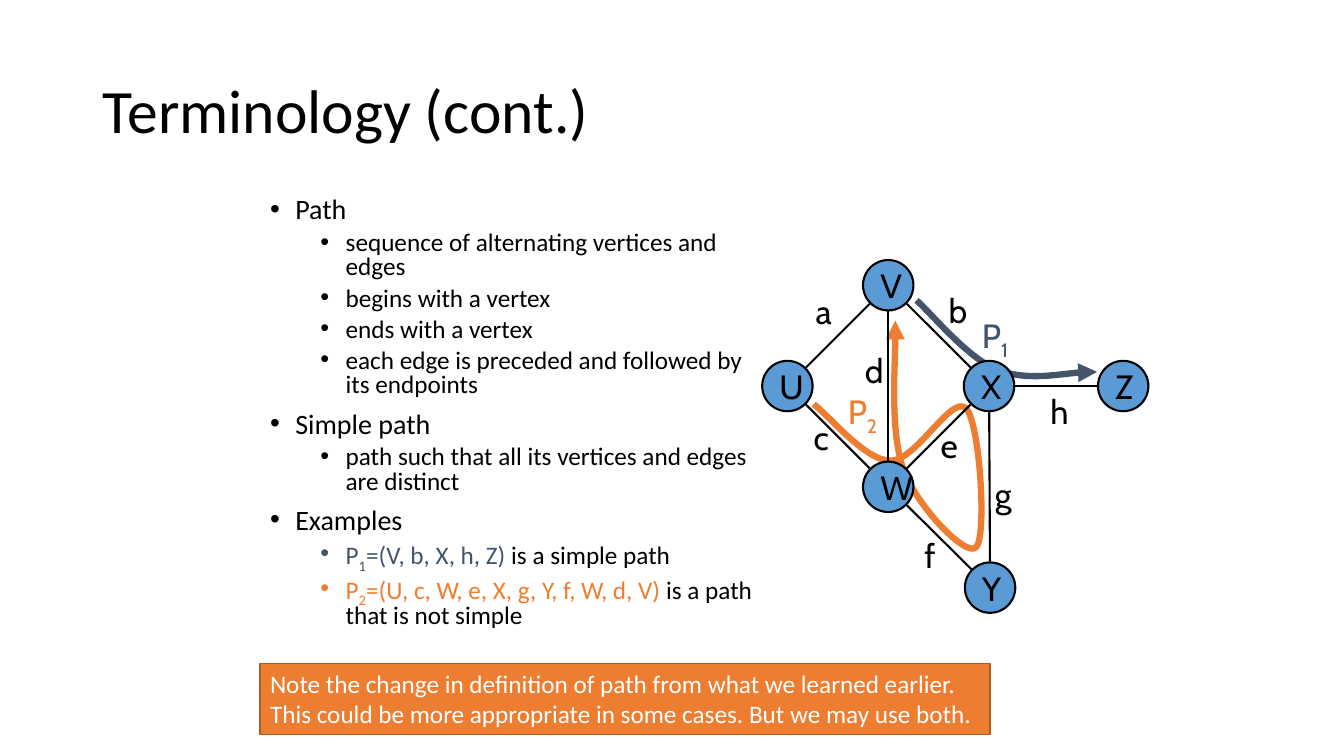
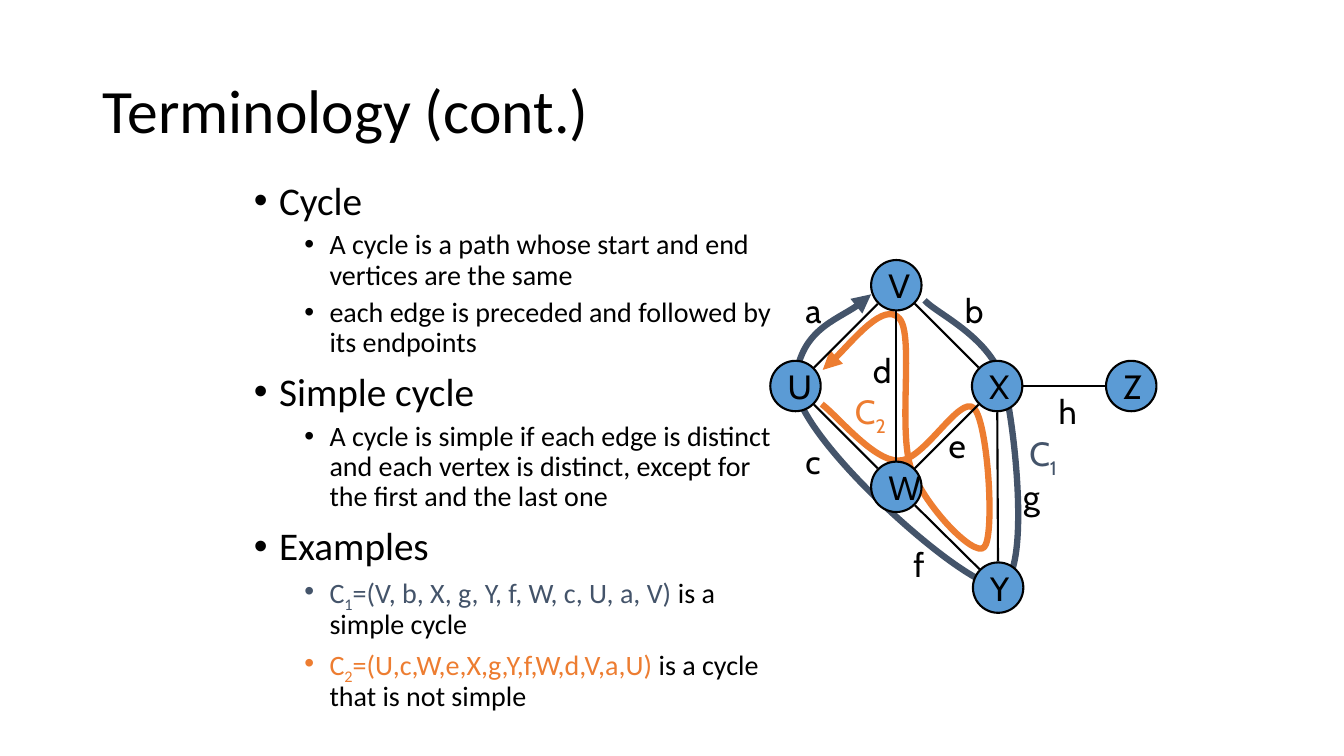
from dataclasses import dataclass
from math import dist

from lxml import etree
from pptx import Presentation
from pptx.dml.color import RGBColor
from pptx.enum.shapes import MSO_CONNECTOR, MSO_SHAPE
from pptx.enum.text import MSO_ANCHOR, MSO_AUTO_SIZE, PP_ALIGN
from pptx.oxml.ns import qn
from pptx.util import Pt

PX = 9144  # 100 px to the inch
STRAIGHT = MSO_CONNECTOR.STRAIGHT
OVAL, RECTANGLE = MSO_SHAPE.OVAL, MSO_SHAPE.RECTANGLE
MIDDLE, LEFT = MSO_ANCHOR.MIDDLE, PP_ALIGN.LEFT
FIT_SHAPE, NO_FIT = MSO_AUTO_SIZE.SHAPE_TO_FIT_TEXT, MSO_AUTO_SIZE.NONE


@dataclass(frozen=True)
class Theme:
    black: RGBColor = RGBColor(0, 0, 0)
    white: RGBColor = RGBColor(255, 255, 255)
    slate: RGBColor = RGBColor(0x44, 0x54, 0x6A)
    orange: RGBColor = RGBColor(0xED, 0x7D, 0x31)
    rust: RGBColor = RGBColor(0xAF, 0x5C, 0x24)
    blue: RGBColor = RGBColor(0x5B, 0x9B, 0xD5)
    text_font: str = "Calibri"
    graph_font: str = "Cabin"
    title_size: int = 44
    graph_size: int = 24
    note_size: int = 18
    edge_width: float = 1.5
    trail_width: float = 4.5


THEME = Theme()

# The graph of the first slide; the second slide shifts all of it to the right.
NODE_SIZE = 50
EDGE_GAP = 26
NODES = {"X": (956, 358), "U": (756, 358), "V": (856, 258),
         "W": (856, 458), "Z": (1089, 358), "Y": (957, 558)}
EDGES = ["VU", "WU", "WX", "XZ", "VX", "VW", "WY", "XY"]
LABEL_WIDTHS = {"f": 31, "P_1": 51, "P_2": 51, "C_1": 52, "C_2": 52}
FIXED_LABELS = {"d": (848, 342), "e": (923, 417), "h": (1032, 383)}

# Trails are Bezier points: a start, then three points for each curve.
LOOP = [(807, 401), (823, 413), (858, 457), (883, 457), (908, 458), (944, 391),
        (958, 405), (972, 419), (979, 533), (968, 543), (958, 553), (910, 503),
        (896, 466)]

LESSONS = [
    {
        "body": (258, 192, 498, 467),
        "sizes": (20, 18),
        "line_spacing": 0.8,
        "bullets": [
            (0, "Path"),
            (1, "sequence of alternating vertices and edges"),
            (1, "begins with a vertex"),
            (1, "ends with a vertex"),
            (1, "each edge is preceded and followed by its endpoints"),
            (0, "Simple path"),
            (1, "path such that all its vertices and edges are distinct"),
            (0, "Examples"),
            (1, " is a simple path", "P_1=(V, b, X, h, Z)", THEME.slate),
            (1, " is a path that is not simple",
             "P_2=(U, c, W, e, X, g, Y, f, W, d, V)", THEME.orange),
        ],
        "shift": 0,
        "trails": [
            (THEME.orange, LOOP + [(883, 428), (889, 342), (888, 318)]),
            (THEME.slate, [(909, 298), (922, 309), (959, 355), (989, 367),
                           (1019, 378), (1068, 368), (1088, 369)]),
        ],
        "labels": {"a": (799, 284), "b": (931, 283), "c": (797, 409),
                   "f": (907, 526), "g": (977, 465)},
        "trail_labels": [("P_1", (964, 308), THEME.slate),
                         ("P_2", (831, 383), THEME.orange)],
    },
    {
        "body": (242, 175, 543, 531),
        "sizes": (28, 20),
        "line_spacing": 0.9,
        "bullets": [
            (0, "Cycle"),
            (1, "A cycle is a path whose start and end vertices are the same"),
            (1, "each edge is preceded and followed by its endpoints"),
            (0, "Simple cycle"),
            (1, "A cycle is simple if each edge is distinct and each vertex is "
                "distinct, except for the first and the last one"),
            (0, "Examples"),
            (1, " is a simple cycle",
             "C_1=(V, b, X, g, Y, f, W, c, U, a, V)", THEME.slate),
            (1, " is a cycle that is not simple",
             "C_2=(U,c,W,e,X,g,Y,f,W,d,V,a,U)", THEME.orange),
        ],
        "shift": 8,
        "trails": [
            (THEME.slate, [(909, 298), (922, 312), (976, 335), (988, 382),
                           (1000, 430), (1015, 582), (981, 581), (946, 581),
                           (777, 430), (781, 379), (785, 328), (840, 310),
                           (856, 292)]),
            (THEME.orange, LOOP + [(882, 428), (899, 332), (884, 316),
                                   (869, 299), (820, 358), (808, 367)]),
        ],
        "labels": {"a": (781, 283), "b": (939, 283), "c": (781, 433),
                   "f": (888, 535), "g": (997, 467)},
        "trail_labels": [("C_1", (1003, 425), THEME.slate),
                         ("C_2", (830, 383), THEME.orange)],
    },
]
NOTE = ["Note the change in definition of path from what we learned earlier.",
        "This could be more appropriate in some cases. But we may use both."]


def px(*lengths):
    return [round(length * PX) for length in lengths]


def write(para, text, *, size, font=THEME.text_font, color=THEME.black):
    """Append text to a paragraph; the character after each "_" is a subscript."""
    plain, *marked = text.split("_")
    parts = [(plain, False)]
    for part in marked:
        parts += [(part[0], True), (part[1:], False)]
    for words, is_subscript in parts:
        if words:
            span = para.add_run()
            span.text = words
            span.font.name = font
            span.font.size = Pt(size)
            span.font.color.rgb = color
            if is_subscript:
                span.font._element.set("baseline", "-25000")


deck = Presentation()
deck.slide_width, deck.slide_height = px(1333, 750)
title_only = deck.slide_layouts[5]

for lesson in LESSONS:
    page = deck.slides.add_slide(title_only)
    shapes = page.shapes
    shift = lesson["shift"]

    title = shapes.title
    title.left, title.top, title.width, title.height = px(92, 40, 1150, 145)
    title.text_frame.vertical_anchor = MIDDLE
    title.text_frame.auto_size = NO_FIT
    para = title.text_frame.paragraphs[0]
    para.alignment = LEFT
    para.line_spacing = 0.9
    write(para, "Terminology (cont.)", size=THEME.title_size)

    frame = shapes.add_textbox(*px(*lesson["body"])).text_frame
    frame.word_wrap = True
    for index, (level, text, *example) in enumerate(lesson["bullets"]):
        para = frame.add_paragraph() if index else frame.paragraphs[0]
        properties = para._p.get_or_add_pPr()
        margin, hanging = px(25 + 50 * level, -25)
        properties.set("marL", str(margin))
        properties.set("indent", str(hanging))
        etree.SubElement(properties, qn("a:buFont"), typeface="Arial")
        etree.SubElement(properties, qn("a:buChar"), char="•")
        para.level = level
        para.line_spacing = lesson["line_spacing"]
        para.space_before = Pt((10, 5)[level] if index else 0)
        size = lesson["sizes"][level]
        if example:
            formula, color = example
            write(para, formula, size=size, color=color)
        write(para, text, size=size)

    for color, points in lesson["trails"]:
        start, *rest = [(x + shift, y) for x, y in points]
        builder = shapes.build_freeform(*start, scale=PX)
        builder.add_line_segments(rest, close=False)
        trail = builder.convert_to_shape()
        trail.shadow.inherit = False
        trail.fill.background()
        trail.line.color.rgb = color
        trail.line.width = Pt(THEME.trail_width)
        properties = trail._element.spPr
        etree.SubElement(properties.find(qn("a:ln")), qn("a:tailEnd"), type="triangle")
        # Turn every three straight segments into one Bezier curve.
        outline = properties.find(".//" + qn("a:path"))
        segments = outline.findall(qn("a:lnTo"))
        for first in range(0, len(segments), 3):
            curve = etree.SubElement(outline, qn("a:cubicBezTo"))
            for segment in segments[first:first + 3]:
                curve.append(segment[0])
                outline.remove(segment)

    for name, (x, y) in NODES.items():
        node = shapes.add_shape(OVAL, *px(x + shift, y, NODE_SIZE, NODE_SIZE))
        node.shadow.inherit = False
        node.fill.solid()
        node.fill.fore_color.rgb = THEME.blue
        node.line.color.rgb = THEME.black
        node.line.width = Pt(THEME.edge_width)
        frame = node.text_frame
        frame.word_wrap = False
        frame.vertical_anchor = MIDDLE
        frame.paragraphs[0].alignment = LEFT
        write(frame.paragraphs[0], name, size=THEME.graph_size, font=THEME.graph_font)

    for edge in EDGES:
        (x1, y1), (x2, y2) = [
            (NODES[name][0] + shift + NODE_SIZE / 2, NODES[name][1] + NODE_SIZE / 2)
            for name in edge]
        trim = EDGE_GAP / dist((x1, y1), (x2, y2))
        dx, dy = (x2 - x1) * trim, (y2 - y1) * trim
        line = shapes.add_connector(STRAIGHT, *px(x1 + dx, y1 + dy, x2 - dx, y2 - dy))
        line.line.color.rgb = THEME.black
        line.line.width = Pt(THEME.edge_width)
        etree.SubElement(line._element.spPr, qn("a:effectLst"))

    edge_labels = [(name, place, THEME.black)
                   for name, place in (FIXED_LABELS | lesson["labels"]).items()]
    for name, (x, y), color in edge_labels + lesson["trail_labels"]:
        box = shapes.add_textbox(*px(x + shift, y, LABEL_WIDTHS.get(name, 38), 50))
        frame = box.text_frame
        frame.word_wrap = False
        frame.auto_size = FIT_SHAPE
        write(frame.paragraphs[0], name, size=THEME.graph_size,
              font=THEME.graph_font, color=color)

note = deck.slides[0].shapes.add_shape(RECTANGLE, *px(258, 658, 724, 71))
note.shadow.inherit = False
note.fill.solid()
note.fill.fore_color.rgb = THEME.orange
note.line.color.rgb = THEME.rust
note.line.width = Pt(1)
frame = note.text_frame
frame.word_wrap = False
frame.auto_size = FIT_SHAPE
frame.vertical_anchor = MSO_ANCHOR.TOP
for index, text in enumerate(NOTE):
    para = frame.add_paragraph() if index else frame.paragraphs[0]
    para.alignment = LEFT
    write(para, text, size=THEME.note_size, color=THEME.white)

deck.save("out.pptx")
